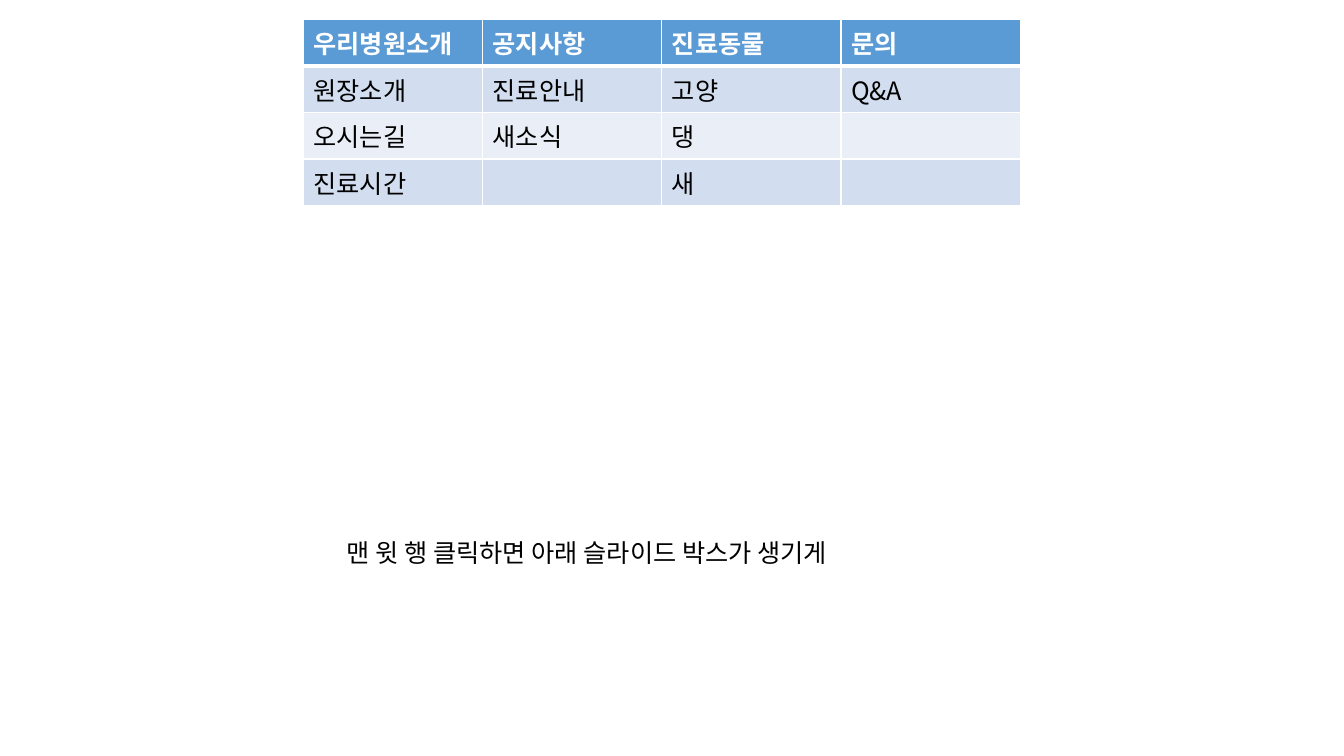
from lxml import etree
from pptx import Presentation
from pptx.dml.color import RGBColor
from pptx.enum.text import MSO_AUTO_SIZE
from pptx.oxml.ns import qn
from pptx.util import Inches, Pt

FIT_SHAPE = MSO_AUTO_SIZE.SHAPE_TO_FIT_TEXT
FONT = "Noto Sans CJK KR"
COLORS = {"header": "5B9BD5", "odd": "D2DEEF", "even": "EAEFF7",
          "white": "FFFFFF", "text": "000000"}

MENU = [
    ["우리병원소개", "공지사항", "진료동물", "문의"],
    ["원장소개", "진료안내", "고양", "Q&A"],
    ["오시는길", "새소식", "댕", ""],
    ["진료시간", "", "새", ""],
]
CLICK_NOTE = "맨 윗 행 클릭하면 아래 슬라이드 박스가 생기게"


def style_text(paragraph, color, bold=False):
    for run in paragraph.runs:
        run.font.size = Pt(18)
        run.font.name = FONT
        run.font.bold = bold
        run.font.color.rgb = RGBColor.from_string(COLORS[color])
        # East Asian typeface for the Korean text
        etree.SubElement(run.font._element, qn("a:ea"), typeface=FONT)


def set_border(cell, side, points):
    border = etree.SubElement(cell._tc.get_or_add_tcPr(), qn(f"a:ln{side}"),
                              w=str(Pt(points)))
    fill = etree.SubElement(border, qn("a:solidFill"))
    etree.SubElement(fill, qn("a:srgbClr"), val=COLORS["white"])


def add_menu(slide, left, top, width, height):
    rows, columns = len(MENU), len(MENU[0])
    menu = slide.shapes.add_table(rows, columns, Inches(left), Inches(top),
                                  Inches(width), Inches(height)).table
    for r, labels in enumerate(MENU):
        is_header = r == 0
        band = "header" if is_header else "odd" if r % 2 else "even"
        for c, label in enumerate(labels):
            cell = menu.cell(r, c)
            # Thick rule between the header and the first entry
            for side in "LRTB":
                thick = (r, side) in ((0, "B"), (1, "T"))
                set_border(cell, side, 3 if thick else 1)
            cell.fill.solid()
            cell.fill.fore_color.rgb = RGBColor.from_string(COLORS[band])
            cell.text_frame.text = label
            style_text(cell.text_frame.paragraphs[0],
                       "white" if is_header else "text", is_header)


def add_click_note(slide, left, top, width, height):
    note = slide.shapes.add_textbox(Inches(left), Inches(top),
                                    Inches(width), Inches(height)).text_frame
    note.word_wrap = False
    note.auto_size = FIT_SHAPE
    note.text = CLICK_NOTE
    style_text(note.paragraphs[0], "text")


def main():
    deck = Presentation()
    deck.slide_width, deck.slide_height = Inches(13.33), Inches(7.5)
    slide = deck.slides.add_slide(deck.slide_layouts[6])
    # Menu table at the top, behaviour note below
    add_menu(slide, 3.01, 0.19, 7.11, 1.62)
    add_click_note(slide, 3.34, 5.28, 5.62, 0.4)
    deck.save("out.pptx")


if __name__ == "__main__":
    main()
